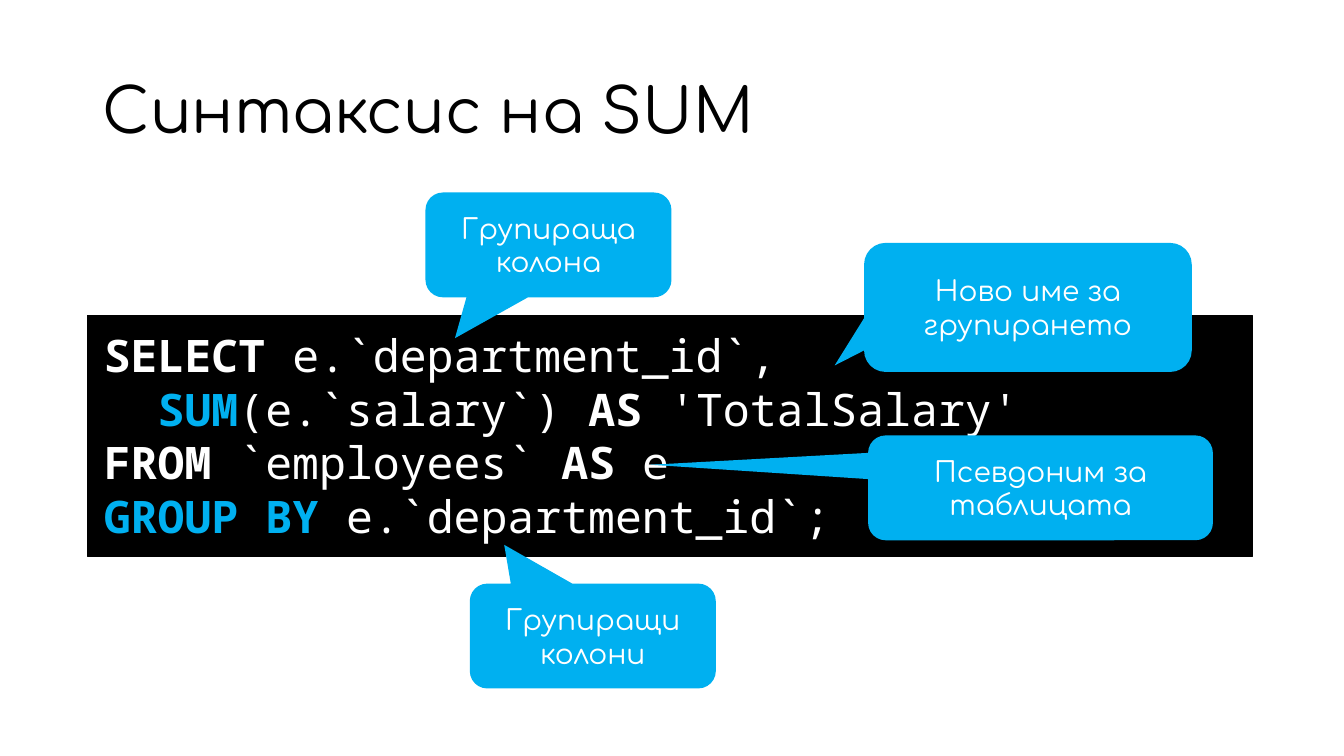
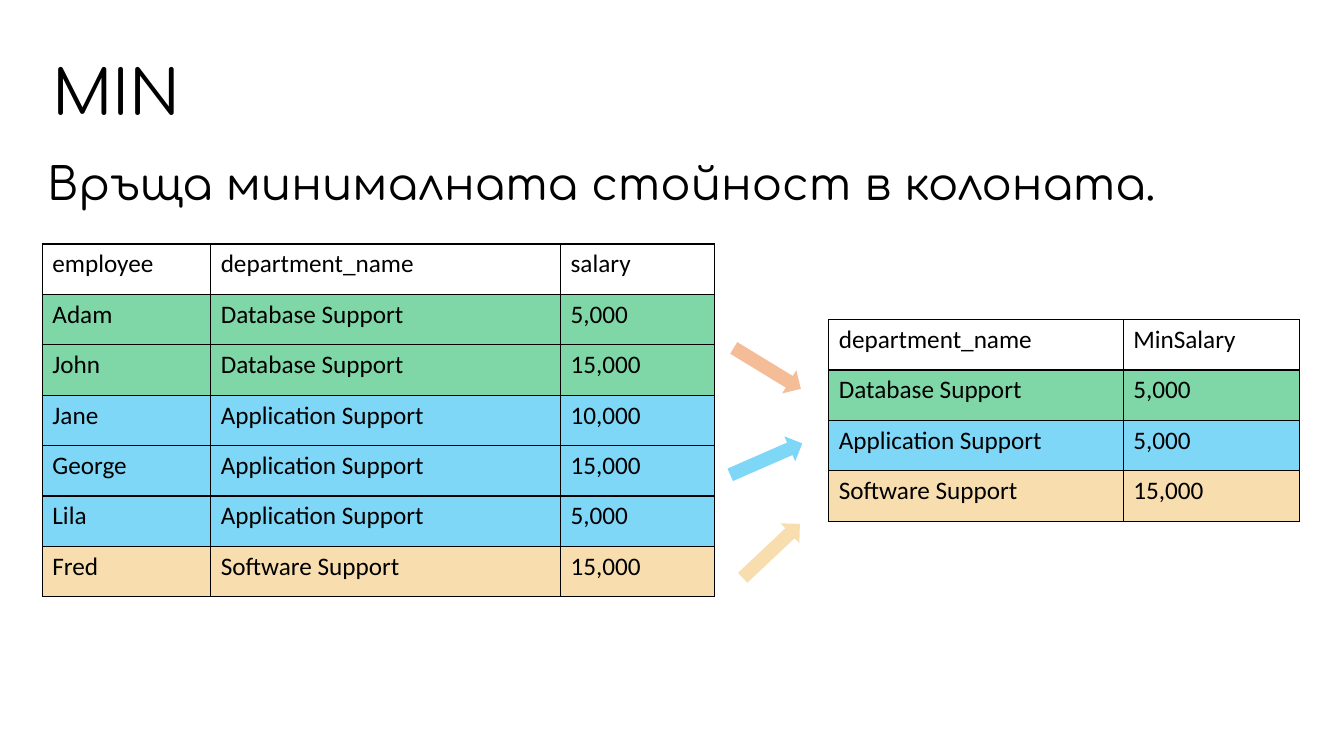
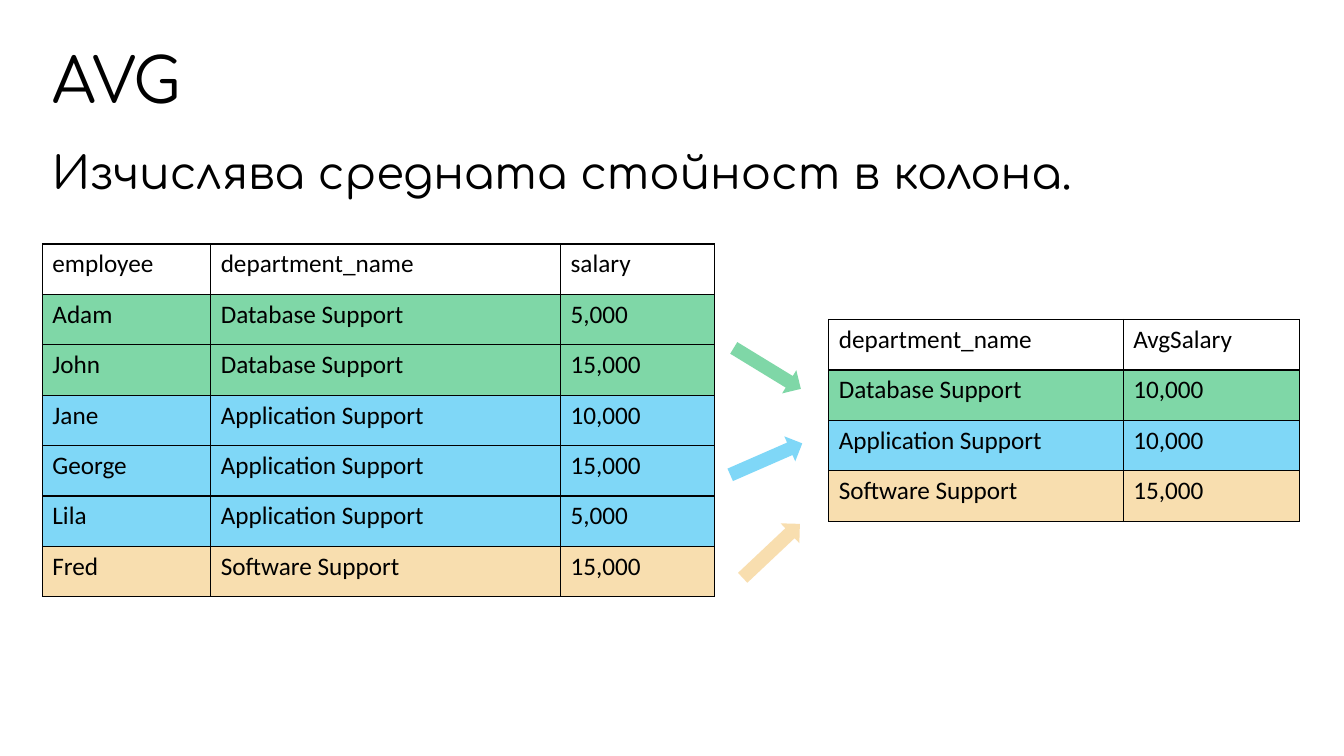
from dataclasses import dataclass
from typing import Any

from lxml import etree
from pptx import Presentation
from pptx.dml.color import RGBColor
from pptx.enum.shapes import MSO_SHAPE
from pptx.enum.text import MSO_ANCHOR, PP_ALIGN
from pptx.oxml.ns import qn
from pptx.util import Inches, Pt

RECT = MSO_SHAPE.RECTANGLE
CALLOUT = MSO_SHAPE.ROUNDED_RECTANGULAR_CALLOUT
ARROW = MSO_SHAPE.RIGHT_ARROW
TOP, MIDDLE = MSO_ANCHOR.TOP, MSO_ANCHOR.MIDDLE
LEFT, CENTER = PP_ALIGN.LEFT, PP_ALIGN.CENTER

COLORS = {
    "black": "000000",
    "white": "FFFFFF",
    "blue": "00B0F0",
    "green": "00B050",
    "sand": "F3BE60",
    "orange": "ED7D31",
}
HEADING_FONT, TABLE_FONT, CODE_FONT = "Comfortaa", "Calibri", "Noto Sans Mono"
TITLE = {"name": HEADING_FONT, "size": Pt(44), "color": "black"}
BODY = {"name": HEADING_FONT, "size": Pt(32), "color": "black"}
NOTE = {"name": HEADING_FONT, "size": Pt(20), "color": "white"}
CELL = {"name": TABLE_FONT, "size": Pt(18), "color": "black"}
CODE = {"name": CODE_FONT, "size": Pt(32), "color": "white", "bold": False}
KEYWORD = CODE | {"bold": True}
ACCENT = KEYWORD | {"color": "blue"}

ROW_HEIGHT = 0.5
HALF_ALPHA = 50

Format = dict[str, Any]
Box = tuple[float, float, float, float]


@dataclass(frozen=True)
class Callout:
    text: str
    box: Box
    tip: tuple[float, float]


@dataclass(frozen=True)
class GroupArrow:
    left: float
    top: float
    rotation: float


@dataclass(frozen=True)
class Row:
    values: tuple[str, ...]
    color: str | None = None


@dataclass(frozen=True)
class AggregateSlide:
    title: str
    title_top: float
    body: str
    body_box: Box
    result_column: str
    results: tuple[str, str, str]
    arrow_colors: tuple[str, str, str]


CODE_LINES = [
    [
        ("SELECT", KEYWORD),
        (" e.`department_id`, ", CODE),
        ("\n", CODE),
        ("  ", CODE),
        ("SUM", ACCENT),
        ("(e.`salary`) ", CODE),
        ("AS", KEYWORD),
        (" 'TotalSalary'", CODE),
    ],
    [("FROM", KEYWORD), (" `employees` ", CODE), ("AS", KEYWORD), (" e", CODE)],
    [("GROUP BY ", ACCENT), ("e.`department_id`;", CODE)],
]
CALLOUTS = [
    Callout("Групираща колона", (4.22, 1.91, 2.44, 1.04), (-0.38, 0.89)),
    Callout("Групиращи колони", (4.66, 5.79, 2.44, 1.04), (-0.36, -0.87)),
    Callout("Псевдоним за таблицата", (8.61, 4.32, 3.42, 1.04), (-1.13, -0.22)),
    Callout("Ново име за групирането", (8.57, 2.41, 3.25, 1.28), (-0.59, 0.45)),
]
DEPARTMENTS = {
    "Database Support": "green",
    "Application Support": "blue",
    "Software Support": "sand",
}
EMPLOYEES = [
    ("Adam", "Database Support", "5,000"),
    ("John", "Database Support", "15,000"),
    ("Jane", "Application Support", "10,000"),
    ("George", "Application Support", "15,000"),
    ("Lila", "Application Support", "5,000"),
    ("Fred", "Software Support", "15,000"),
]
ARROWS = [
    GroupArrow(7.22, 3.52, 31.4),
    GroupArrow(7.21, 4.42, 336.4),
    GroupArrow(7.26, 5.33, 316.7),
]
AGGREGATES = [
    AggregateSlide(
        "MIN", 0.22,
        "Връща минималната стойност в колоната.", (0.37, 1.5, 12.91, 0.9),
        "MinSalary", ("5,000", "5,000", "15,000"), ("orange", "blue", "sand"),
    ),
    AggregateSlide(
        "AVG", 0.1,
        "Изчислява средната стойност в колона.", (0.42, 1.39, 12.34, 0.89),
        "AvgSalary", ("10,000", "10,000", "15,000"), ("green", "blue", "sand"),
    ),
]


def rgb(color: str) -> RGBColor:
    return RGBColor.from_string(COLORS[color])


def inches(box: Box) -> list[int]:
    return [Inches(v) for v in box]


def add_run(p: Any, text: str, fmt: Format) -> None:
    r = p.add_run()
    r.text = text
    for key, value in fmt.items():
        if key == "color":
            r.font.color.rgb = rgb(value)
        else:
            setattr(r.font, key, value)


def set_frame(tf: Any, anchor: Any, margins: tuple[float, float] = (0.1, 0.05)) -> None:
    across, down = (Inches(m) for m in margins)
    frame = {
        "word_wrap": True,
        "vertical_anchor": anchor,
        "margin_left": across,
        "margin_right": across,
        "margin_top": down,
        "margin_bottom": down,
    }
    for key, value in frame.items():
        setattr(tf, key, value)


def set_fill(fill: Any, color: str, alpha: int = 100) -> None:
    fill.solid()
    fill.fore_color.rgb = rgb(color)
    if alpha < 100:
        clr = fill._xPr.find(qn("a:solidFill"))[0]
        etree.SubElement(clr, qn("a:alpha"), val=str(alpha * 1000))


def add_text(s: Any, text: str, box: Box, fmt: Format, anchor: Any, spacing: float = 1.0) -> None:
    tf = s.shapes.add_textbox(*inches(box)).text_frame
    set_frame(tf, anchor)
    p = tf.paragraphs[0]
    p.line_spacing = spacing
    add_run(p, text, fmt)


def add_title(s: Any, text: str, left: float, top: float) -> None:
    add_text(s, text, (left, top, 11.5, 1.45), TITLE, MIDDLE, 0.9)


def add_preset(s: Any, kind: Any, box: Box, color: str, alpha: int = 100) -> Any:
    sp = s.shapes.add_shape(kind, *inches(box))
    sp.shadow.inherit = False
    sp.line.fill.background()
    set_fill(sp.fill, color, alpha)
    return sp


def add_code(s: Any) -> None:
    sp = add_preset(s, RECT, (0.87, 3.13, 11.55, 2.39), "black")
    sp.line.color.rgb = rgb("black")
    sp.line.width = Pt(1)
    tf = sp.text_frame
    set_frame(tf, TOP, (0.16, 0.12))
    for i, line in enumerate(CODE_LINES):
        p = tf.add_paragraph() if i else tf.paragraphs[0]
        p.alignment = LEFT
        for text, fmt in line:
            if text == "\n":
                p.add_line_break()
            else:
                add_run(p, text, fmt)


def add_callout(s: Any, callout: Callout) -> None:
    sp = add_preset(s, CALLOUT, callout.box, "blue")
    for i, value in enumerate(callout.tip):
        sp.adjustments[i] = value
    set_frame(sp.text_frame, MIDDLE)
    p = sp.text_frame.paragraphs[0]
    p.alignment = CENTER
    add_run(p, callout.text, NOTE)


def set_borders(cell: Any) -> None:
    tc_pr = cell._tc.get_or_add_tcPr()
    for side in ("lnL", "lnR", "lnT", "lnB"):
        ln = etree.SubElement(tc_pr, qn(f"a:{side}"), w=str(Pt(1)))
        fill = etree.SubElement(ln, qn("a:solidFill"))
        etree.SubElement(fill, qn("a:srgbClr"), val=COLORS["black"])


def add_grid(s: Any, left: float, top: float, widths: list[float], rows: list[Row]) -> None:
    box = (left, top, sum(widths), ROW_HEIGHT * len(rows))
    table = s.shapes.add_table(len(rows), len(widths), *inches(box)).table
    table.first_row = table.horz_banding = False
    for column, width in zip(table.columns, widths):
        column.width = Inches(width)
    for i, row in enumerate(rows):
        table.rows[i].height = Inches(ROW_HEIGHT)
        for j, text in enumerate(row.values):
            cell = table.cell(i, j)
            set_borders(cell)
            if row.color:
                set_fill(cell.fill, row.color, HALF_ALPHA)
            else:
                cell.fill.background()
            add_run(cell.text_frame.paragraphs[0], text, CELL)


def add_syntax_slide(s: Any) -> None:
    add_code(s)
    add_title(s, "Синтаксис на SUM", 0.92, 0.4)
    for callout in CALLOUTS:
        add_callout(s, callout)


def add_aggregate_slide(s: Any, spec: AggregateSlide) -> None:
    add_title(s, spec.title, 0.42, spec.title_top)
    source = [Row(("employee", "department_name", "salary"))]
    source += [Row(values, DEPARTMENTS[values[1]]) for values in EMPLOYEES]
    result = [Row(("department_name", spec.result_column))]
    result += [
        Row((name, value), color)
        for (name, color), value in zip(DEPARTMENTS.items(), spec.results)
    ]
    add_grid(s, 0.42, 2.42, [1.67, 3.47, 1.53], source)
    add_grid(s, 8.22, 3.17, [2.92, 1.75], result)
    for arrow, color in zip(ARROWS, spec.arrow_colors):
        sp = add_preset(s, ARROW, (arrow.left, arrow.top, 0.78, 0.27), color, HALF_ALPHA)
        sp.rotation = arrow.rotation
    add_text(s, spec.body, spec.body_box, BODY, TOP)


def main() -> None:
    prs = Presentation()
    prs.slide_width, prs.slide_height = Inches(13.33), Inches(7.5)
    blank = prs.slide_layouts[6]
    add_syntax_slide(prs.slides.add_slide(blank))
    for spec in AGGREGATES:
        add_aggregate_slide(prs.slides.add_slide(blank), spec)
    prs.save("out.pptx")


if __name__ == "__main__":
    main()
